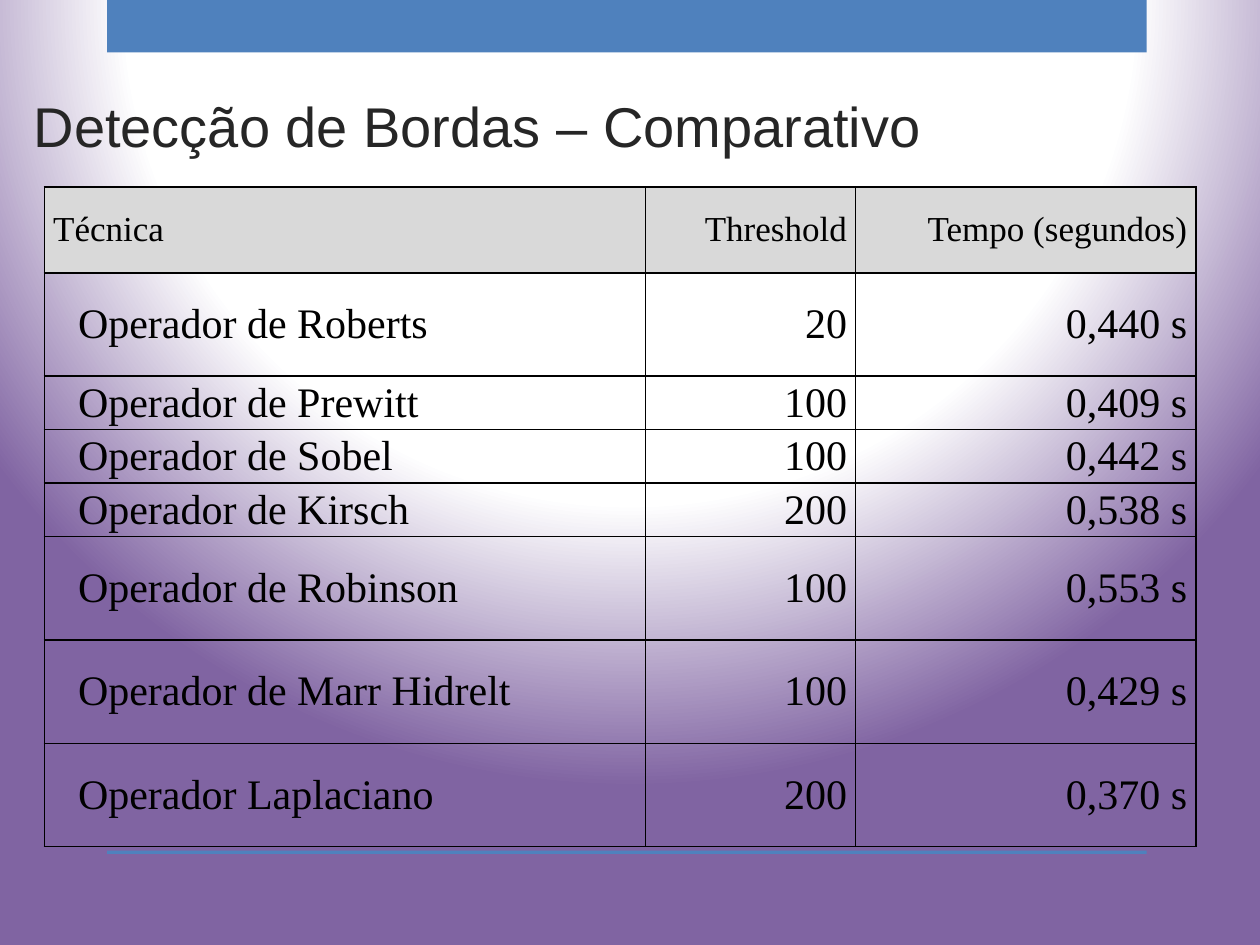
from lxml import etree
from pptx import Presentation
from pptx.dml.color import RGBColor
from pptx.enum import shapes, text
from pptx.oxml import parse_xml
from pptx.oxml.ns import nsdecls, qn
from pptx.util import Pt

COLORS = {"bar": "4F81BD", "edge": "8064A2", "center": "FFFFFF",
          "header": "D9D9D9", "title": "262626", "ink": "000000"}
HEADER = ("Técnica", "Threshold", "Tempo (segundos)")
RESULTS = (
    ("Operador de Roberts", "20", "0,440 s"),
    ("Operador de Prewitt", "100", "0,409 s"),
    ("Operador de Sobel", "100", "0,442 s"),
    ("Operador de Kirsch", "200", "0,538 s"),
    ("Operador de Robinson", "100", "0,553 s"),
    ("Operador de Marr Hidrelt", "100", "0,429 s"),
    ("Operador Laplaciano", "200", "0,370 s"),
)
COLUMN_WIDTHS = (343.4, 120.2, 194.4)
TALL, SHORT = 59.05, 30.6
ROW_HEIGHTS = (49.1, TALL, SHORT, SHORT, SHORT, TALL, TALL, TALL)


def rgb(name):
    return RGBColor.from_string(COLORS[name])


def paint_background(page):
    """Radial gradient centred above the page."""
    stops = "".join(
        f'<a:gs pos="{pos}000"><a:srgbClr val="{COLORS[name]}"/></a:gs>'
        for pos, name in ((0, "center"), (64, "center"), (100, "edge")))
    background = parse_xml(
        f'<p:bg {nsdecls("p", "a")}><p:bgPr><a:gradFill rotWithShape="1">'
        f'<a:gsLst>{stops}</a:gsLst><a:path path="circle">'
        '<a:fillToRect l="50000" t="-80000" r="50000" b="180000"/></a:path>'
        '</a:gradFill><a:effectLst/></p:bgPr></p:bg>')
    page._element.cSld.insert(0, background)


def add_bar(page, top, height):
    bar = page.shapes.add_shape(shapes.MSO_SHAPE.RECTANGLE,
                                Pt(61.2), Pt(top), Pt(594), Pt(height))
    bar.shadow.inherit = False
    bar.fill.solid()
    bar.fill.fore_color.rgb = rgb("bar")
    bar.line.fill.background()


def write(frame, words, *, size, font, color="ink", align=None, indent=0):
    para = frame.paragraphs[0]
    para.alignment = align
    if indent:
        para._p.get_or_add_pPr().set("indent", str(Pt(indent)))
    span = para.add_run()
    span.text = words
    span.font.size = Pt(size)
    span.font.name = font
    span.font.color.rgb = rgb(color)


def add_title(page, words):
    box = page.shapes.add_textbox(Pt(12.2), Pt(43.9), Pt(684), Pt(54.7))
    frame = box.text_frame
    frame.word_wrap = True
    frame.vertical_anchor = text.MSO_ANCHOR.MIDDLE
    write(frame, words, size=32, font="Arial", color="title")


def add_borders(cell):
    properties = cell._tc.get_or_add_tcPr()
    for position, side in enumerate(("lnL", "lnR", "lnT", "lnB")):
        line = etree.Element(qn(f"a:{side}"), w=str(Pt(1)))
        fill = etree.SubElement(line, qn("a:solidFill"))
        etree.SubElement(fill, qn("a:srgbClr"), val=COLORS["ink"])
        properties.insert(position, line)


def format_cell(cell, is_header):
    cell.vertical_anchor = text.MSO_ANCHOR.MIDDLE
    cell.margin_left = cell.margin_right = Pt(5)
    cell.margin_top = cell.margin_bottom = 0
    if is_header:
        cell.fill.solid()
        cell.fill.fore_color.rgb = rgb("header")
    else:
        cell.fill.background()
    add_borders(cell)


def add_results_table(page):
    rows = (HEADER, *RESULTS)
    table = page.shapes.add_table(
        len(rows), len(HEADER), Pt(25.4), Pt(106.8),
        Pt(sum(COLUMN_WIDTHS)), Pt(sum(ROW_HEIGHTS))).table
    table.horz_banding = False
    table.first_row = False
    for column, width in zip(table.columns, COLUMN_WIDTHS):
        column.width = Pt(width)
    for row, height in zip(table.rows, ROW_HEIGHTS):
        row.height = Pt(height)
    for r, values in enumerate(rows):
        is_header = r == 0
        first_align = text.PP_ALIGN.JUSTIFY if is_header else text.PP_ALIGN.LEFT
        for c, value in enumerate(values):
            cell = table.cell(r, c)
            format_cell(cell, is_header)
            write(cell.text_frame, value, font="Times New Roman",
                  size=20 if is_header else 24,
                  align=text.PP_ALIGN.RIGHT if c else first_align,
                  indent=0 if is_header else 14.2)


def main():
    deck = Presentation()
    deck.slide_width, deck.slide_height = Pt(720), Pt(540)
    page = deck.slides.add_slide(deck.slide_layouts[6])
    paint_background(page)
    add_bar(page, top=0, height=30)
    add_bar(page, top=486, height=2)
    add_results_table(page)
    add_title(page, "Detecção de Bordas – Comparativo")
    deck.save("out.pptx")


if __name__ == "__main__":
    main()
